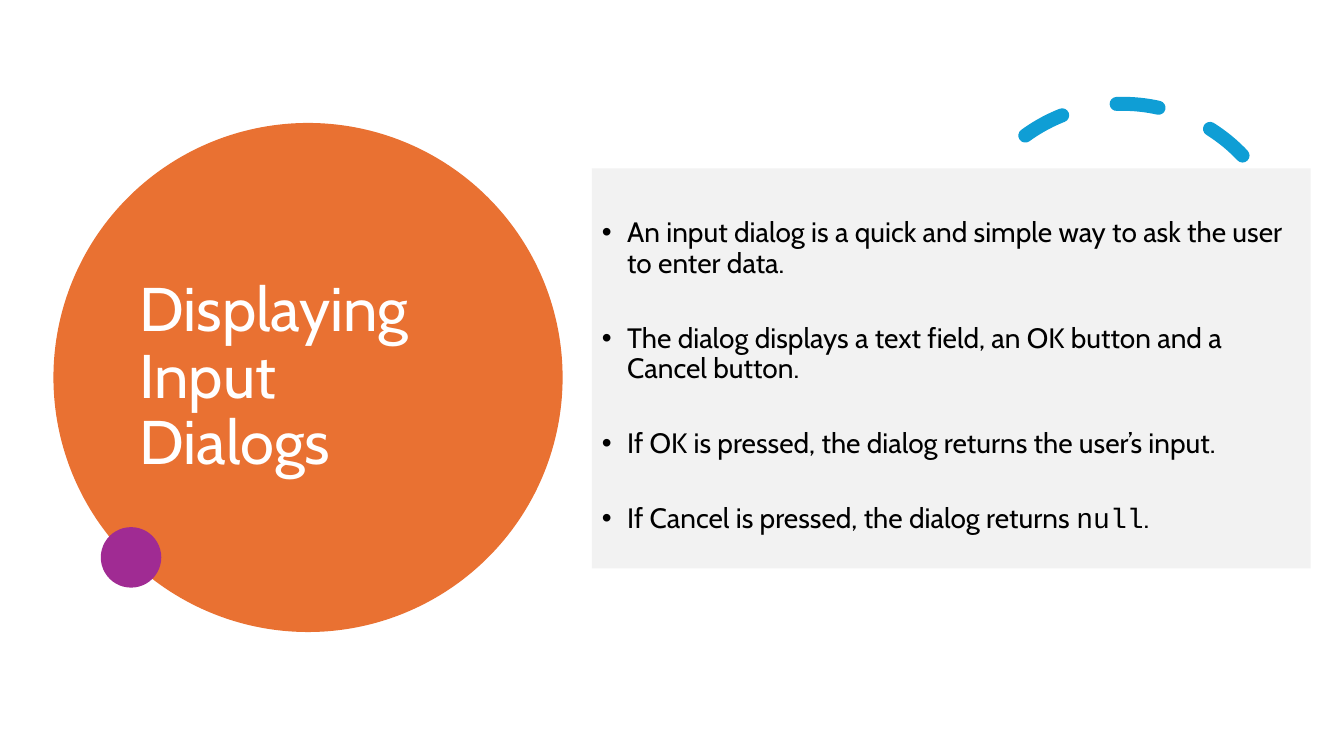
from lxml import etree
from pptx import Presentation
from pptx.dml.color import RGBColor
from pptx.enum import dml, shapes, text
from pptx.oxml import ns
from pptx.util import Inches, Pt

BULLETS = [
    ["An input dialog is a quick and simple way to ask the user to enter data."],
    ["The dialog displays a text field, an OK button and a Cancel button."],
    ["If OK is pressed, the dialog returns the user’s input."],
    ["If Cancel is pressed, the dialog returns ", ("null", "Courier New"), "."],
]


def color(hex_value):
    return RGBColor.from_string(hex_value)


def add_text(paragraph, content, size=20, font="Cabin", fill="000000"):
    run = paragraph.add_run()
    run.text = content
    run.font.size = Pt(size)
    run.font.name = font
    run.font.color.rgb = color(fill)


class SlideBuilder:
    orange, purple, blue, gray, white = "E97132", "A02B93", "0F9ED5", "F2F2F2", "FFFFFF"
    line_spacing = 0.9

    def __init__(self, slide):
        self.slide = slide

    def circle(self, left, top, diameter, fill):
        shape = self.slide.shapes.add_shape(
            shapes.MSO_SHAPE.OVAL, Inches(left), Inches(top), Inches(diameter), Inches(diameter))
        shape.shadow.inherit = False
        shape.fill.solid()
        shape.fill.fore_color.rgb = color(fill)
        shape.line.fill.background()

    def dashed_arc(self, left, top, diameter, rotation, start, end):
        shape = self.slide.shapes.add_shape(
            shapes.MSO_SHAPE.ARC, Inches(left), Inches(top), Inches(diameter), Inches(diameter))
        shape.shadow.inherit = False
        shape.rotation = rotation
        shape.adjustments[0], shape.adjustments[1] = start, end
        shape.fill.background()
        shape.line.color.rgb = color(self.blue)
        shape.line.width = Pt(10)
        shape.line.dash_style = dml.MSO_LINE.DASH
        shape.line._get_or_add_ln().set("cap", "rnd")

    def place(self, placeholder, left, top, width, height, anchor):
        """Position a placeholder and bring it to the front."""
        placeholder.left, placeholder.top = Inches(left), Inches(top)
        placeholder.width, placeholder.height = Inches(width), Inches(height)
        self.slide.shapes._spTree.append(placeholder._element)
        frame = placeholder.text_frame
        frame.word_wrap = True
        frame.auto_size = text.MSO_AUTO_SIZE.NONE
        frame.vertical_anchor = anchor
        return frame

    def title(self, content, *box):
        frame = self.place(self.slide.shapes.title, *box, text.MSO_ANCHOR.MIDDLE)
        paragraph = frame.paragraphs[0]
        paragraph.alignment = text.PP_ALIGN.LEFT
        paragraph.line_spacing = self.line_spacing
        add_text(paragraph, content, size=44, fill=self.white)

    def bullet_list(self, items, *box):
        body = self.slide.placeholders[1]
        frame = self.place(body, *box, text.MSO_ANCHOR.TOP)
        frame.margin_top = Inches(0.5)
        body.fill.solid()
        body.fill.fore_color.rgb = color(self.gray)
        for index, pieces in enumerate(items):
            paragraph = frame.add_paragraph() if index else frame.paragraphs[0]
            paragraph.line_spacing = self.line_spacing
            paragraph.space_before = Pt(32 if index else 0)
            properties = paragraph._p.get_or_add_pPr()
            properties.set("marL", str(Inches(0.25)))
            properties.set("indent", str(-Inches(0.25)))
            etree.SubElement(properties, ns.qn("a:buFont"), typeface="Arial")
            etree.SubElement(properties, ns.qn("a:buChar"), char="•")
            for piece in pieces:
                content, font = (piece, "Cabin") if isinstance(piece, str) else piece
                add_text(paragraph, content, font=font)


def main():
    presentation = Presentation()
    presentation.slide_width, presentation.slide_height = Inches(13.33), Inches(7.5)
    builder = SlideBuilder(presentation.slides.add_slide(presentation.slide_layouts[1]))
    builder.circle(0.53, 1.22, 5.05, builder.orange)
    builder.title("Displaying Input Dialogs", 1.28, 1.53, 3.54, 4.45)
    builder.dashed_arc(9.5, 1.03, 3.27, rotation=330.2, start=158.17, end=17.81)
    builder.circle(1, 5.23, 0.6, builder.purple)
    builder.bullet_list(BULLETS, 5.87, 1.67, 7.13, 3.97)
    presentation.save("out.pptx")


if __name__ == "__main__":
    main()
